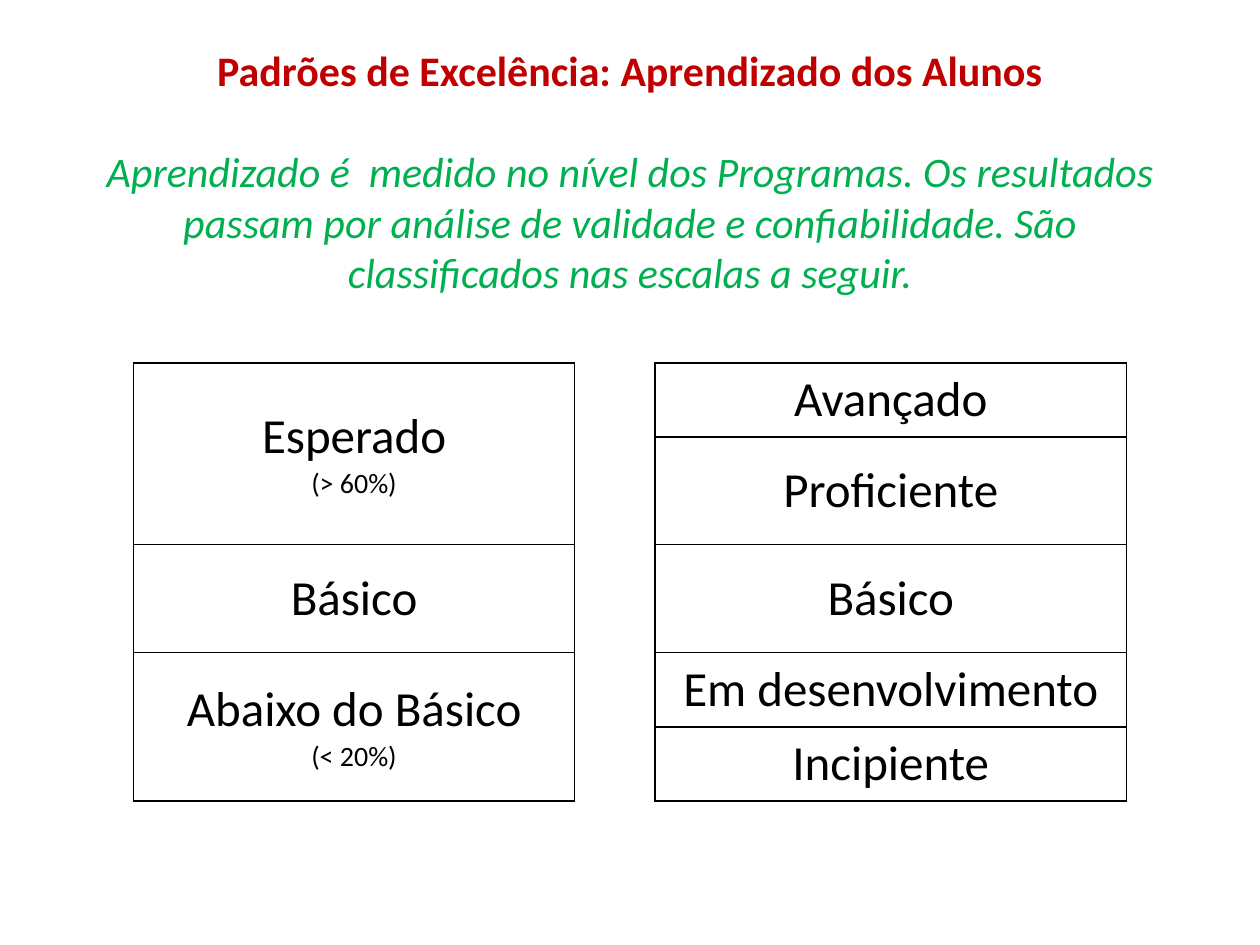
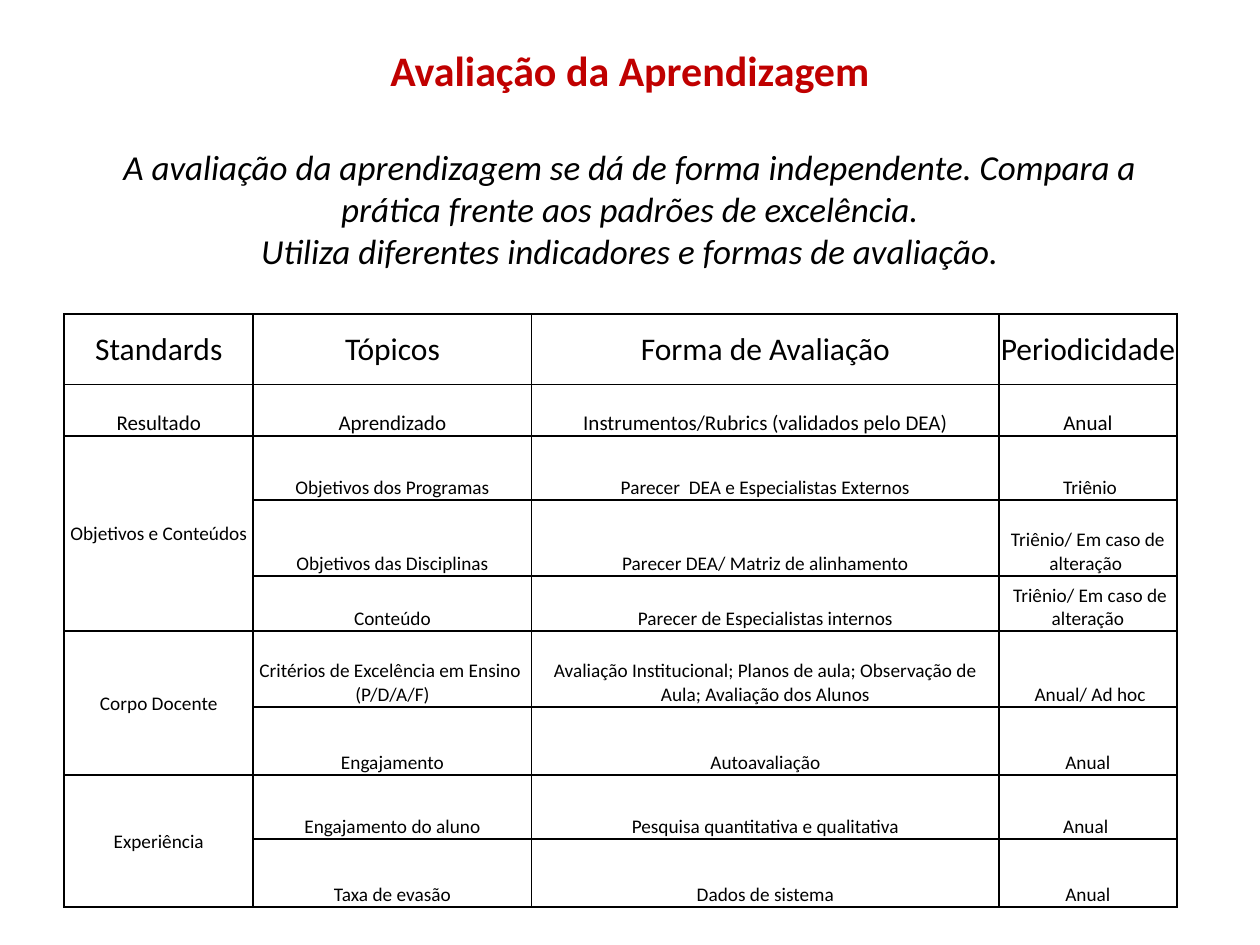
"""Two slides on learning standards and how they are assessed."""
from dataclasses import dataclass
from typing import Optional

from lxml import etree
from pptx import Presentation
from pptx import util as u
from pptx.dml.color import RGBColor
from pptx.enum import text
from pptx.oxml.ns import qn

FONT = "Calibri"
HUES = {"red": "C00000", "green": "00B050", "black": "000000", "white": "FFFFFF"}
MID, LOW = text.MSO_ANCHOR.MIDDLE, text.MSO_ANCHOR.BOTTOM


@dataclass
class Cell:
    """Text of a table cell, the rows it spans and its look."""
    words: str = ""
    size: float = 11
    note: str = ""
    small: float = 11
    span: int = 1
    anchor: text.MSO_ANCHOR = LOW
    open: bool = False


@dataclass
class Grid:
    """A table; None in rows marks a cell covered by the span above."""
    left: float
    top: float
    cols: list[float]
    tall: list[float]
    rows: list[list[Optional[Cell]]]
    fill: Optional[str] = None
    inset: Optional[tuple[float, float, float, float]] = None


@dataclass
class Head:
    """Title and the italic lead below it."""
    title: str
    lead: str
    size: float
    hue: str


def style(para, size: float, hue: str = "black", bold: bool = False, slant: bool = False) -> None:
    """Centre a paragraph and set its font."""
    para.alignment = text.PP_ALIGN.CENTER
    font = para.font
    font.name, font.size, font.bold, font.italic = FONT, u.Pt(size), bold, slant
    font.color.rgb = RGBColor.from_string(HUES[hue])


def draw_head(slide, head: Head) -> None:
    """Draw the title and lead in one text box."""
    box = slide.shapes.add_textbox(u.Inches(0.5), u.Inches(0.3), u.Inches(9), u.Inches(1.95))
    frame = box.text_frame
    frame.word_wrap = True
    title = frame.paragraphs[0]
    title.text = head.title
    style(title, 24, "red", bold=True)
    lead = frame.add_paragraph()
    lead.text = head.lead
    lead.space_before = u.Pt(29.3)
    style(lead, head.size, head.hue, slant=True)


def edge(cell, open: bool) -> None:
    """Give a cell black borders, at the sides only if open."""
    props = cell._tc.get_or_add_tcPr()
    for spot, side in enumerate("LRTB"):
        line = etree.Element(qn(f"a:ln{side}"), w=str(u.Pt(1)))
        if open and side in "TB":
            etree.SubElement(line, qn("a:noFill"))
        else:
            paint = etree.SubElement(line, qn("a:solidFill"))
            etree.SubElement(paint, qn("a:srgbClr"), val=HUES["black"])
        props.insert(spot, line)


def fill_cell(cell, item: Cell) -> None:
    """Write the words and the note of a cell."""
    cell.vertical_anchor = item.anchor
    frame = cell.text_frame
    frame.text = item.words
    style(frame.paragraphs[0], item.size)
    if item.note:
        para = frame.add_paragraph()
        para.text = item.note
        style(para, item.small)


def draw_grid(slide, grid: Grid) -> None:
    """Draw a bordered table with its merged cells."""
    shape = slide.shapes.add_table(
        len(grid.tall), len(grid.cols), u.Inches(grid.left), u.Inches(grid.top),
        u.Inches(sum(grid.cols)), u.Inches(sum(grid.tall)))
    table = shape.table
    table.first_row = table.horz_banding = False
    for col, width in zip(table.columns, grid.cols):
        col.width = u.Inches(width)
    for row, height in zip(table.rows, grid.tall):
        row.height = u.Inches(height)
    for y, row in enumerate(grid.rows):
        for x, item in enumerate(row):
            cell = table.cell(y, x)
            if grid.fill:
                cell.fill.solid()
                cell.fill.fore_color.rgb = RGBColor.from_string(HUES[grid.fill])
            else:
                cell.fill.background()
            if grid.inset:
                (cell.margin_left, cell.margin_top, cell.margin_right,
                 cell.margin_bottom) = map(u.Inches, grid.inset)
            edge(cell, bool(item and item.open))
            if item:
                fill_cell(cell, item)
                if item.span > 1:
                    cell.merge(table.cell(y + item.span - 1, x))


def level(words: str, note: str = "", span: int = 1) -> Cell:
    """Make a cell of the scales."""
    return Cell(words, 28, note, 16, span, MID)


def gap(span: int = 1) -> Cell:
    """Make an empty cell between the scales."""
    return Cell(span=span, open=True)


def group(words: str, span: int) -> Cell:
    """Make a cell that names a group of rows."""
    return Cell(words, span=span, anchor=MID)


def line(*words: str, size: float = 11, anchor: text.MSO_ANCHOR = LOW) -> list[Cell]:
    """Make a row of plain cells."""
    return [Cell(word, size, anchor=anchor) for word in words]


SCALES = Grid(1.06, 2.88, [3.5, 0.64, 3.74], [0.59, 0.85, 0.86, 0.59, 0.59], [
    [level("Esperado", "(> 60%)", 2), gap(2), level("Avançado")],
    [None, None, level("Proficiente")],
    [level("Básico"), gap(), level("Básico")],
    [level("Abaixo do Básico", "(< 20%)", 2), gap(2), level("Em desenvolvimento")],
    [None, None, level("Incipiente")],
])

PLAN = Grid(0.51, 2.49, [1.5, 2.21, 3.71, 1.41],
            [0.56, 0.41, 0.51, 0.6, 0.44, 0.6, 0.54, 0.51, 0.54], [
    line("Standards", "Tópicos", "Forma de Avaliação", "Periodicidade", size=18, anchor=MID),
    line("Resultado", "Aprendizado", "Instrumentos/Rubrics (validados pelo DEA)", "Anual", size=12),
    [group("Objetivos e Conteúdos", 3),
     *line("Objetivos dos Programas", "Parecer  DEA e Especialistas Externos", "\u00a0Triênio")],
    [None, *line("Objetivos das Disciplinas", "Parecer DEA/ Matriz de alinhamento",
                 "Triênio/ Em caso de alteração\u00a0")],
    [None, *line("Conteúdo", "Parecer de Especialistas internos",
                 "\u00a0Triênio/ Em caso de alteração")],
    [group("Corpo Docente", 2),
     Cell("Critérios de Excelência em Ensino ", note="(P/D/A/F)"),
     *line("Avaliação Institucional; Planos de aula; Observação de Aula; Avaliação dos Alunos",
           "\u00a0Anual/ Ad hoc")],
    [None, *line("Engajamento", "Autoavaliação", "Anual")],
    [group("Experiência", 2),
     *line("Engajamento do aluno", "Pesquisa quantitativa e qualitativa", "Anual\u00a0")],
    [None, *line("Taxa de evasão", "Dados de sistema", "Anual")],
], "white", (0.01, 0.01, 0.01, 0))

PAGES = [
    (Head("Padrões de Excelência: Aprendizado dos Alunos",
          "Aprendizado é  medido no nível dos Programas. Os resultados passam por análise de "
          "validade e confiabilidade. São classificados nas escalas a seguir.", 24, "green"), SCALES),
    (Head("Avaliação da Aprendizagem",
          "A avaliação da aprendizagem se dá de forma independente. Compara a prática frente aos "
          "padrões de excelência.\vUtiliza diferentes indicadores e formas de avaliação.",
          20, "black"), PLAN),
]


def main() -> None:
    """Build and save the slides."""
    deck = Presentation()
    deck.slide_width, deck.slide_height = u.Inches(10), u.Inches(7.5)
    for head, grid in PAGES:
        slide = deck.slides.add_slide(deck.slide_layouts[6])
        draw_head(slide, head)
        draw_grid(slide, grid)
    deck.save("out.pptx")


main()
